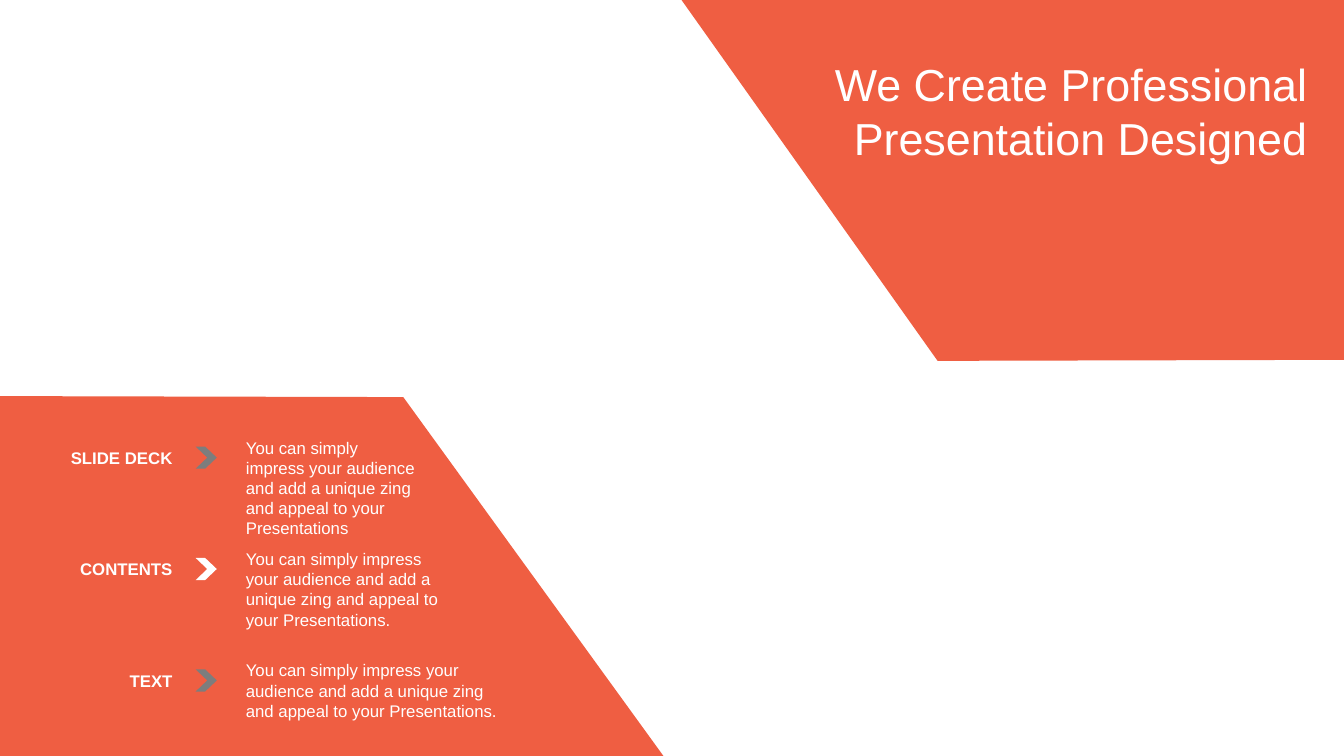
"""Build a slide with two slanted panels, a title and three labelled rows."""
import pptx
import pptx.dml.color
import pptx.enum.shapes
import pptx.enum.text
import pptx.util

Inches = pptx.util.Inches
Align = pptx.enum.text.PP_ALIGN
CORAL = pptx.dml.color.RGBColor(0xEF, 0x5E, 0x42)
WHITE = pptx.dml.color.RGBColor(0xFF, 0xFF, 0xFF)
GRAY = pptx.dml.color.RGBColor(0x7D, 0x7D, 0x7D)


class Deck:
    """Hold the text style and the current slide."""

    font = "Arial"
    color = WHITE

    def __init__(self, s):
        self.s = s

    def paint(self, sp, color):
        """Give a shape a plain fill."""
        sp.shadow.inherit = False
        sp.fill.solid()
        sp.fill.fore_color.rgb = color
        sp.line.fill.background()

    def panel(self, points):
        """Draw a filled polygon."""
        corners = [(Inches(x), Inches(y)) for x, y in points]
        builder = self.s.shapes.build_freeform(*corners[0], scale=1.0)
        builder.add_line_segments(corners[1:], close=True)
        self.paint(builder.convert_to_shape(), CORAL)

    def chevron(self, x, y, color):
        """Draw a small arrow marker."""
        sp = self.s.shapes.add_shape(
            pptx.enum.shapes.MSO_SHAPE.CHEVRON,
            Inches(x), Inches(y), Inches(0.21), Inches(0.22))
        sp.adjustments[0] = 0.55
        self.paint(sp, color)

    def text(self, x, y, w, h, text, size=12, bold=False, align=Align.LEFT, insets=None):
        """Add a wrapped text box."""
        sp = self.s.shapes.add_textbox(Inches(x), Inches(y), Inches(w), Inches(h))
        tf = sp.text_frame
        tf.word_wrap = True
        tf.auto_size = pptx.enum.text.MSO_AUTO_SIZE.SHAPE_TO_FIT_TEXT
        if insets:
            tf.margin_left, tf.margin_top, tf.margin_right, tf.margin_bottom = map(Inches, insets)
        p = tf.paragraphs[0]
        p.text = text
        p.alignment = align
        p.font.name = self.font
        p.font.size = pptx.util.Pt(size)
        p.font.bold = bold
        p.font.color.rgb = self.color


def main():
    """Build and save the slide."""
    prs = pptx.Presentation()
    prs.slide_width, prs.slide_height = Inches(13.33), Inches(7.5)
    deck = Deck(prs.slides.add_slide(prs.slide_layouts[6]))

    deck.panel([(0, 3.93), (4, 3.94), (6.58, 7.5), (0, 7.5)])
    deck.panel([(13.33, 3.57), (9.3, 3.58), (6.76, 0), (13.33, 0)])

    pitch = 1.105
    body = "You can simply impress your audience and add a unique zing and appeal to your Presentations"
    rows = [
        ("SLIDE DECK", body, 1.91, 1.11, GRAY),
        ("CONTENTS", body + ".", 2.22, 0.91, WHITE),
        ("TEXT", body + ".", 2.76, 0.71, GRAY),
    ]
    for i, (label, text, w, h, color) in enumerate(rows):
        y = 4.29 + i * pitch
        deck.text(0.15, y + 0.1, 1.66, 0.31, label, bold=True, align=Align.RIGHT)
        deck.text(2.34, y, w, h, text)
        deck.chevron(1.94, y + 0.14, color)

    deck.text(7.18, 0.56, 5.82, 1.08, "We Create Professional Presentation Designed",
              size=32, align=Align.RIGHT, insets=(0.05, 0, 0.03, 0))
    prs.save("out.pptx")


if __name__ == "__main__":
    main()
